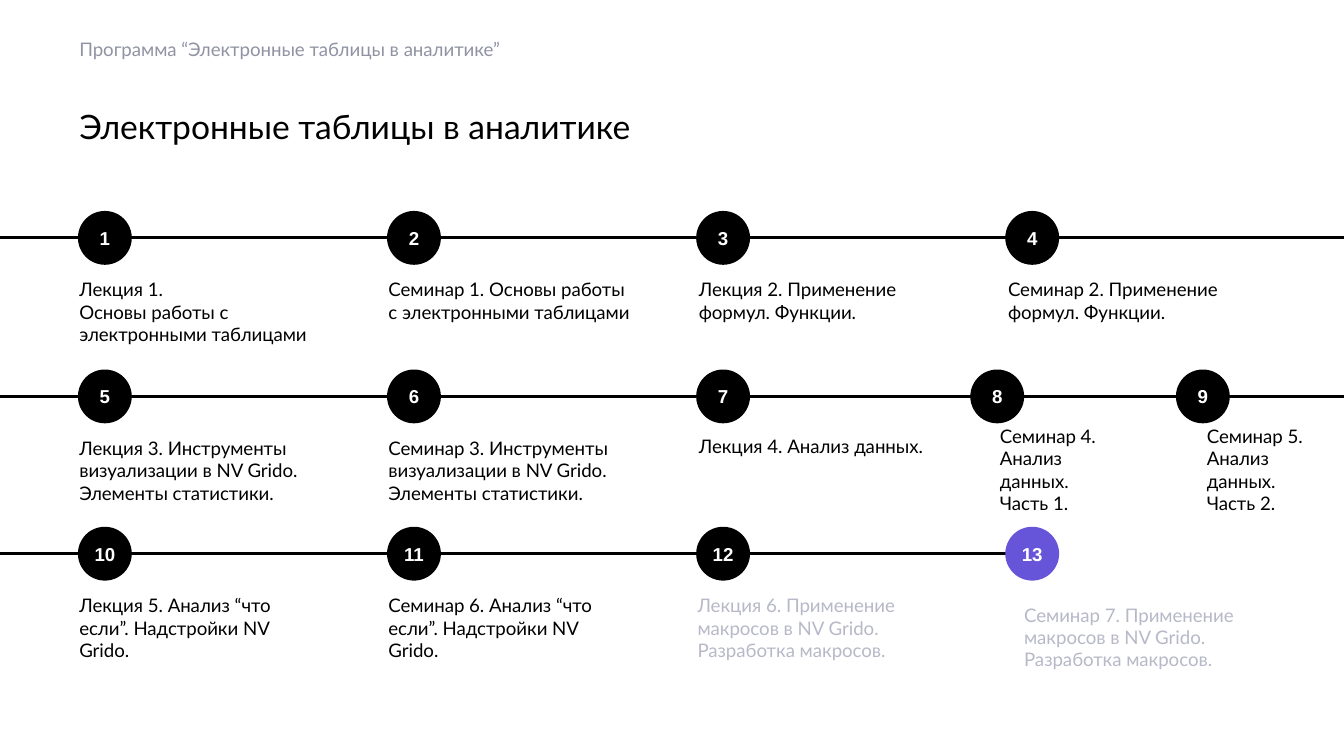
from dataclasses import dataclass

import pptx
import pptx.dml.color
import pptx.enum.shapes
import pptx.enum.text
import pptx.oxml.ns
import pptx.slide
import pptx.text.text
import pptx.util
from lxml import etree
from pptx.util import Inches

BLACK = "000000"
WHITE = "FFFFFF"
VIOLET = "6654D9"
LIGHT_GREY = "B7B9C8"
HEADER_GREY = "8F93A3"

SLIDE_WIDTH = 10
SLIDE_HEIGHT = SLIDE_WIDTH * 9 / 16
DIAMETER = 0.38
COLUMNS = [0.59, 2.89, 5.19, 7.49]
CAPTION_DROP = 0.39


@dataclass(frozen=True)
class Step:
    left: float
    caption: str
    height: float = 0.71
    width: float = 1.91
    shift_x: float = 0
    shift_y: float = 0
    fill: str = BLACK
    caption_color: str = BLACK


@dataclass(frozen=True)
class Row:
    top: float
    steps: list[Step]
    runs_to_edge: bool = True


ROWS = [
    Row(1.58, [
        Step(COLUMNS[0], "Лекция 1. \vОсновы работы с электронными таблицами"),
        Step(COLUMNS[1], "Семинар 1. Основы работы с электронными таблицами"),
        Step(COLUMNS[2], "Лекция 2. Применение формул. Функции.", shift_x=0.01),
        Step(COLUMNS[3], "Семинар 2. Применение формул. Функции.", 0.54, shift_x=0.01),
    ]),
    Row(2.76, [
        Step(COLUMNS[0], "Лекция 3. Инструменты визуализации в NV Grido. Элементы статистики."),
        Step(COLUMNS[1], "Семинар 3. Инструменты визуализации в NV Grido. Элементы статистики."),
        Step(COLUMNS[2], "Лекция 4. Анализ данных.", 0.37, shift_x=0.01),
        Step(7.23, "Семинар 4. Анализ данных. Часть 1.", 0.54, 0.99, 0.21, -0.09),
        Step(8.76, "Семинар 5. Анализ данных. Часть 2.", 0.46, 0.87, 0.22, -0.09),
    ]),
    Row(3.93, [
        Step(COLUMNS[0], "Лекция 5. Анализ “что если”. Надстройки NV Grido.", 0.37),
        Step(COLUMNS[1], "Семинар 6. Анализ “что если”. Надстройки NV Grido.", 0.37),
        Step(COLUMNS[2], "Лекция 6. Применение макросов в NV Grido. Разработка макросов.",
             0.37, caption_color=LIGHT_GREY),
        Step(COLUMNS[3], "Семинар 7. Применение макросов в NV Grido. Разработка макросов.",
             0.37, shift_x=0.13, shift_y=0.07, fill=VIOLET, caption_color=LIGHT_GREY),
    ], runs_to_edge=False),
]


def color(value: str) -> pptx.dml.color.RGBColor:
    return pptx.dml.color.RGBColor.from_string(value)


def write(frame: pptx.text.text.TextFrame, text: str, font_name: str, size: float,
          font_color: str, margin_right: float = 0, margin_y: float = 0) -> None:
    frame.word_wrap = True
    frame.margin_left = 0
    frame.margin_right = Inches(margin_right)
    frame.margin_top = frame.margin_bottom = Inches(margin_y)
    frame.text = text
    font = frame.paragraphs[0].font
    font.name = font_name
    font.size = pptx.util.Pt(size)
    font.color.rgb = color(font_color)


def add_text(slide: pptx.slide.Slide, left: float, top: float, width: float, height: float,
             text: str, size: float, font_color: str, margin_right: float = 0,
             margin_y: float = 0) -> pptx.text.text.TextFrame:
    box = slide.shapes.add_textbox(Inches(left), Inches(top), Inches(width), Inches(height))
    write(box.text_frame, text, "Lato", size, font_color, margin_right, margin_y)
    return box.text_frame


def add_line(slide: pptx.slide.Slide, start: float, end: float, y: float) -> None:
    connector = slide.shapes.add_connector(
        pptx.enum.shapes.MSO_CONNECTOR.STRAIGHT, Inches(start), Inches(y), Inches(end), Inches(y))
    connector.line.color.rgb = color(BLACK)
    connector.line.width = pptx.util.Pt(1.5)
    etree.SubElement(connector._element.spPr, pptx.oxml.ns.qn("a:effectLst"))


def add_circle(slide: pptx.slide.Slide, step: Step, top: float, number: int) -> None:
    shape = slide.shapes.add_shape(
        pptx.enum.shapes.MSO_SHAPE.OVAL, Inches(step.left), Inches(top),
        Inches(DIAMETER), Inches(DIAMETER))
    shape.shadow.inherit = False
    shape.fill.solid()
    shape.fill.fore_color.rgb = color(step.fill)
    shape.line.color.rgb = color(step.fill)
    shape.line.width = pptx.util.Pt(1.5)
    write(shape.text_frame, str(number), "Arial", 10, WHITE)
    shape.text_frame.vertical_anchor = pptx.enum.text.MSO_ANCHOR.MIDDLE
    paragraph = shape.text_frame.paragraphs[0]
    paragraph.alignment = pptx.enum.text.PP_ALIGN.CENTER
    paragraph.font.bold = True


def add_row(slide: pptx.slide.Slide, row: Row, first_number: int) -> None:
    starts = [0] + [step.left + DIAMETER for step in row.steps]
    ends = [step.left for step in row.steps]
    if row.runs_to_edge:
        ends.append(SLIDE_WIDTH)
    for start, end in zip(starts, ends):
        add_line(slide, start, end, row.top + DIAMETER / 2)
    for number, step in enumerate(row.steps, first_number):
        add_circle(slide, step, row.top, number)
        add_text(slide, step.left + step.shift_x, row.top + CAPTION_DROP + step.shift_y,
                 step.width, step.height, step.caption, 10, step.caption_color, 0.1, 0.1)


def main() -> None:
    presentation = pptx.Presentation()
    presentation.slide_width = Inches(SLIDE_WIDTH)
    presentation.slide_height = Inches(SLIDE_HEIGHT)
    slide = presentation.slides.add_slide(presentation.slide_layouts[6])

    header = add_text(slide, COLUMNS[0], 0.17, 8.82, 0.39,
                      "Программа “Электронные таблицы в аналитике”", 10, HEADER_GREY,
                      margin_y=0.04)
    header.vertical_anchor = pptx.enum.text.MSO_ANCHOR.MIDDLE
    add_text(slide, COLUMNS[0], 0.79, 8.82, 0.35, "Электронные таблицы в аналитике", 18, BLACK)

    number = 1
    for row in ROWS:
        add_row(slide, row, number)
        number += len(row.steps)

    presentation.save("out.pptx")


if __name__ == "__main__":
    main()
